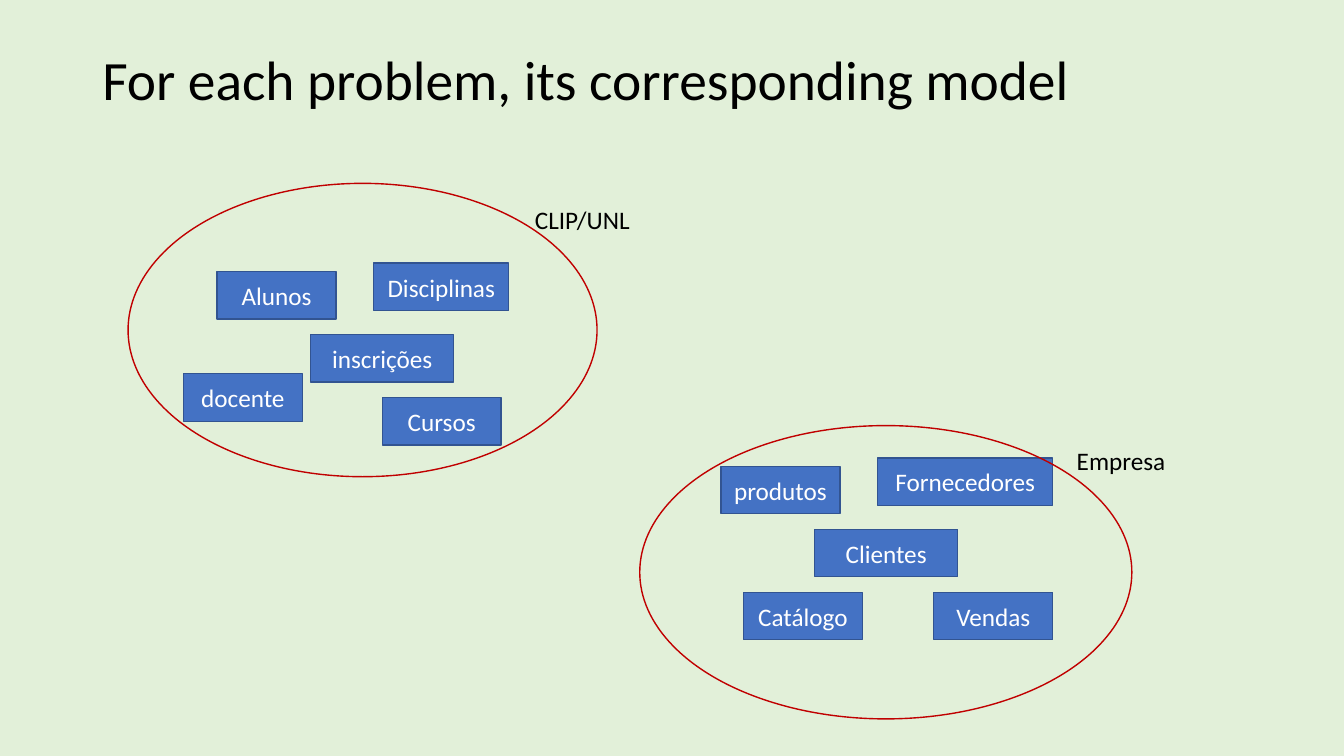
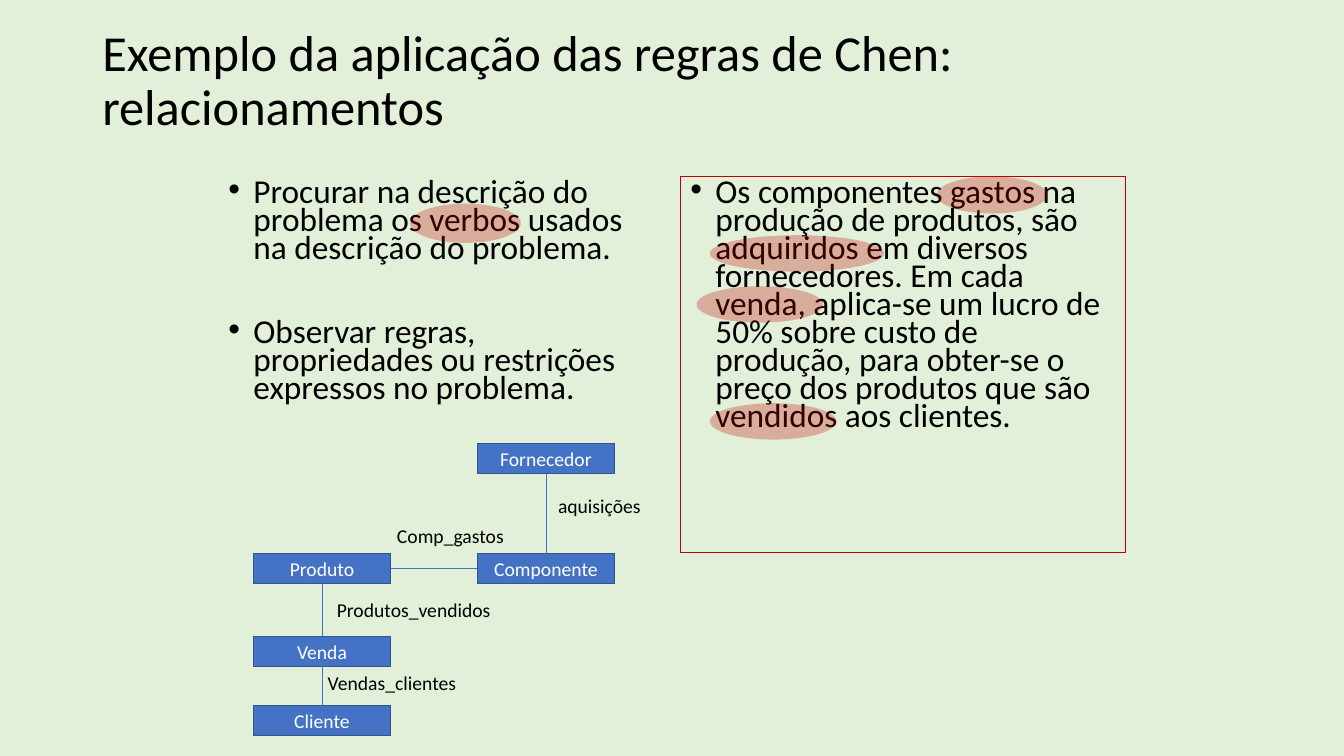
from lxml import etree
from pptx import Presentation
from pptx.dml.color import RGBColor
from pptx.enum import shapes, text
from pptx.oxml import ns
from pptx.util import Pt

COLORS = {"background": "E2F0D9", "text": "000000", "box": "4472C4",
          "border": "325491", "accent": "C00000", "white": "FFFFFF"}
COLORS = {name: RGBColor.from_string(value) for name, value in COLORS.items()}
FONT = "Calibri"
RECTANGLE, OVAL = shapes.MSO_SHAPE.RECTANGLE, shapes.MSO_SHAPE.OVAL


def add_shape(slide, kind, box, fill=None, line=None):
    shape = slide.shapes.add_shape(kind, *map(Pt, box))
    shape.shadow.inherit = False
    for part, color in ((shape.fill, fill), (shape.line.fill, line)):
        if color:
            part.solid()
            part.fore_color.rgb = COLORS[color]
        else:
            part.background()
    if line:
        shape.line.width = Pt(1)
    return shape


def write(paragraph, words, size, color="text", align=text.PP_ALIGN.LEFT):
    paragraph.alignment = align
    run = paragraph.add_run()
    run.text = words
    run.font.size, run.font.name = Pt(size), FONT
    run.font.color.rgb = COLORS[color]


presentation = Presentation()
presentation.slide_width, presentation.slide_height = Pt(960), Pt(540)

# Backgrounds and titles
slides = []
for words, size in (("For each problem, its corresponding model", 39.6),
                    ("Exemplo da aplicação das regras de Chen: relacionamentos", 36)):
    slide = presentation.slides.add_slide(presentation.slide_layouts[6])
    slide.background.fill.solid()
    slide.background.fill.fore_color.rgb = COLORS["background"]
    title = slide.shapes.add_textbox(Pt(66), Pt(29), Pt(729), Pt(59.5))
    title.text_frame.word_wrap = True
    title.text_frame.vertical_anchor = text.MSO_ANCHOR.MIDDLE
    paragraph = title.text_frame.paragraphs[0]
    paragraph.line_spacing = 0.9
    write(paragraph, words, size)
    slides.append(slide)
models, example = slides

# Slide 1: concepts of each problem
for words, left, top, width in (
        ("inscrições", 222, 239, 102), ("Disciplinas", 267, 188, 96.5),
        ("Alunos", 155, 194, 85), ("docente", 131, 267, 85),
        ("Cursos", 273, 284, 85), ("Clientes", 582, 378, 102),
        ("Fornecedores", 627, 327, 125), ("produtos", 515, 333, 85),
        ("Catálogo", 531, 423, 85), ("Vendas", 667, 423, 85)):
    concept = add_shape(models, RECTANGLE, (left, top, width, 34), "box", "border")
    write(concept.text_frame.paragraphs[0], words, 18, "white", text.PP_ALIGN.CENTER)

# Slide 1: outline around each problem
for box in ((457, 304, 351.5, 209.5), (91.5, 131, 335, 209.5)):
    add_shape(models, OVAL, box, line="accent")

# Slide 2: rules on the left, framed problem description on the right
for left, height, framed, rules in (
        (156, 175, False,
         ("Procurar na descrição do problema os verbos usados na descrição do problema.",
          "Observar regras, propriedades ou restrições expressos no problema.")),
        (486, 269, True,
         ("Os componentes gastos na produção de produtos, são adquiridos em diversos "
          "fornecedores. Em cada venda, aplica-se um lucro de 50% sobre custo de produção, "
          "para obter-se o preço dos produtos que são vendidos aos clientes.",))):
    body = example.shapes.add_textbox(Pt(left), Pt(126), Pt(318), Pt(height))
    if framed:
        body.line.color.rgb, body.line.width = COLORS["accent"], Pt(0.75)
    frame = body.text_frame
    frame.word_wrap = True
    for index, words in enumerate(rules):
        paragraph = frame.add_paragraph() if index else frame.paragraphs[0]
        paragraph.line_spacing = 0.7
        paragraph.space_before = Pt(40 if index else 0)
        properties = paragraph._p.get_or_add_pPr()
        properties.set("marL", str(Pt(18)))
        properties.set("indent", str(-Pt(18)))
        etree.SubElement(properties, ns.qn("a:buFont")).set("typeface", "Arial")
        etree.SubElement(properties, ns.qn("a:buChar")).set("char", "•")
        write(paragraph, words, 23.8)

# Slide 2: translucent marks over the verbs
for box in ((507, 168, 124.5, 26), (669, 126, 79, 26.5), (293, 145.5, 79, 28),
            (507, 288, 90.5, 26), (497.5, 204.5, 90.5, 26)):
    mark = add_shape(example, OVAL, box, "accent")
    color = mark._element.spPr.find(ns.qn("a:solidFill"))[0]
    etree.SubElement(color, ns.qn("a:alpha")).set("val", "28000")

# Slide 2: entities
entities = {}
for words, left, top in (("Componente", 341, 395.5), ("Produto", 181, 395.5),
                         ("Fornecedor", 341, 317), ("Cliente", 181, 504),
                         ("Venda", 181, 454.5)):
    entity = add_shape(example, RECTANGLE, (left, top, 98, 21.5), "box", "border")
    write(entity.text_frame.paragraphs[0], words, 14, "white", text.PP_ALIGN.CENTER)
    entities[words] = entity

# Slide 2: relationships, joined at sides 0 top, 1 left, 2 bottom, 3 right
for start, start_side, end, end_side in (
        ("Produto", 3, "Componente", 1), ("Fornecedor", 2, "Componente", 0),
        ("Produto", 2, "Venda", 0), ("Venda", 2, "Cliente", 0)):
    relationship = example.shapes.add_connector(shapes.MSO_CONNECTOR.STRAIGHT, 0, 0, 0, 0)
    relationship.begin_connect(entities[start], start_side)
    relationship.end_connect(entities[end], end_side)
    relationship.line.color.rgb, relationship.line.width = COLORS["box"], Pt(0.5)
    etree.SubElement(relationship._element.spPr, ns.qn("a:effectLst"))

# Labels of problems and relationships
for slide, words, size, left, top, width, height in (
        (models, "CLIP/UNL", 18, 375, 142.5, 83, 29),
        (models, "Empresa", 18, 762, 314.5, 78.5, 29),
        (example, "aquisições", 14, 391.5, 349, 74, 24.5),
        (example, "Comp_gastos", 14, 276.5, 371, 91.5, 24.5),
        (example, "Vendas_clientes", 14, 227, 475.5, 107, 24.5),
        (example, "Produtos_vendidos", 14, 233.5, 423.5, 125, 24.5)):
    label = slide.shapes.add_textbox(Pt(left), Pt(top), Pt(width), Pt(height))
    label.text_frame.word_wrap = False
    label.text_frame.auto_size = text.MSO_AUTO_SIZE.SHAPE_TO_FIT_TEXT
    write(label.text_frame.paragraphs[0], words, size)

presentation.save("out.pptx")
